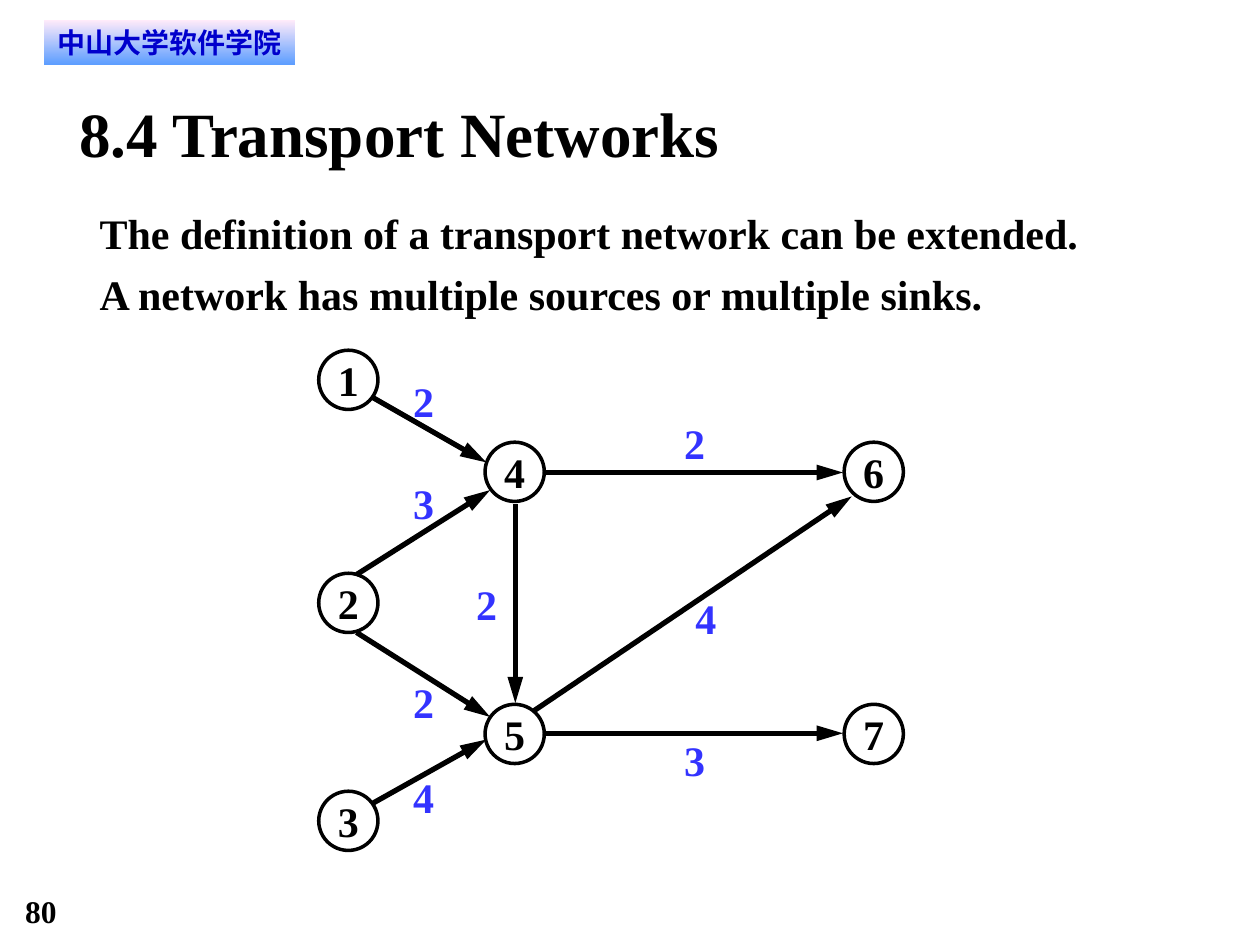
"""Build a slide on transport networks with many sources and sinks."""
from typing import NamedTuple

from lxml import etree
from pptx import Presentation
from pptx.dml.color import RGBColor
from pptx.enum.shapes import MSO_CONNECTOR, MSO_SHAPE
from pptx.enum.text import MSO_ANCHOR, PP_ALIGN
from pptx.oxml.ns import qn
from pptx.util import Inches, Pt

LINE = MSO_CONNECTOR.STRAIGHT
RECT = MSO_SHAPE.RECTANGLE
OVAL = MSO_SHAPE.OVAL
MIDDLE = MSO_ANCHOR.MIDDLE
CENTER = PP_ALIGN.CENTER

FONT = "Times New Roman"
COLORS = {
    "black": "000000",
    "label": "3333FF",
    "school": "0000CC",
    "pink": "FFEBFA",
    "blue": "5E9EFF",
}
SIZE = 0.47


class Node(NamedTuple):
    name: str
    x: float
    y: float


class Edge(NamedTuple):
    start: tuple[float, float]
    end: tuple[float, float]
    cost: str
    spot: tuple[float, float]


LEFT, MID, RIGHT = 2.53, 3.85, 6.7
HIGH, LOW = 3.51, 5.59

NODES = [
    Node("1", LEFT, 2.78),
    Node("2", LEFT, 4.55),
    Node("3", LEFT, 6.28),
    Node("4", MID, HIGH),
    Node("5", MID, LOW),
    Node("6", RIGHT, HIGH),
    Node("7", RIGHT, LOW),
]
EDGES = [
    Edge((2.95, 3.15), (3.86, 3.67), "2", (3.28, 2.98)),
    Edge((2.83, 4.56), (3.89, 3.89), "3", (3.28, 3.79)),
    Edge((2.83, 5.02), (3.89, 5.69), "2", (3.28, 5.37)),
    Edge((2.95, 6.38), (3.86, 5.87), "4", (3.28, 6.12)),
    Edge((4.33, 3.75), (6.69, 3.75), "2", (5.43, 3.31)),
    Edge((4.09, 4), (4.09, 5.58), "2", (3.78, 4.59)),
    Edge((4.24, 5.64), (6.76, 3.94), "4", (5.52, 4.7)),
    Edge((4.33, 5.82), (6.69, 5.82), "3", (5.43, 5.83)),
]


def color(key: str) -> RGBColor:
    """Look up a colour by name."""
    return RGBColor.from_string(COLORS[key])


def write(shape, lines: list[str], size: float, ink: str = "black",
          font: str = FONT, pad: tuple[float, float] = (0, 0),
          wrap: bool = True, align=None, space: float | None = None) -> None:
    """Fill a shape with bold lines of text."""
    frame = shape.text_frame
    frame.word_wrap = wrap
    frame.margin_left = frame.margin_right = Inches(pad[0])
    frame.margin_top = frame.margin_bottom = Inches(pad[1])
    frame.text = "\n".join(lines)
    for para in frame.paragraphs:
        para.alignment = align
        para.line_spacing = space
        para.font.name = font
        para.font.size = Pt(size)
        para.font.bold = True
        para.font.color.rgb = color(ink)


def add_text(slide, x: float, y: float, w: float, h: float,
             lines: list[str], size: float, **style) -> None:
    """Add a text box."""
    box = slide.shapes.add_textbox(Inches(x), Inches(y), Inches(w), Inches(h))
    write(box, lines, size, **style)


def add_badge(slide) -> None:
    """Add the school name on a shaded bar."""
    bar = slide.shapes.add_shape(
        RECT, Inches(0.35), Inches(0.16), Inches(1.99), Inches(0.35))
    bar.shadow.inherit = False
    bar.line.fill.background()
    bar.fill.gradient()
    bar.fill.gradient_angle = 270
    for stop, key in zip(bar.fill.gradient_stops, ("pink", "blue")):
        stop.color.rgb = color(key)
    write(bar, ["中山大学软件学院"], 16, ink="school", font="DejaVu Sans",
          pad=(0.08, 0.04), align=CENTER)


def add_node(slide, node: Node) -> None:
    """Add a numbered circle."""
    disc = slide.shapes.add_shape(
        OVAL, Inches(node.x), Inches(node.y), Inches(SIZE), Inches(SIZE))
    disc.shadow.inherit = False
    disc.fill.background()
    disc.line.color.rgb = color("black")
    disc.line.width = Pt(2)
    disc.text_frame.vertical_anchor = MIDDLE
    write(disc, [node.name], 24, wrap=False, align=CENTER)


def add_edge(slide, edge: Edge) -> None:
    """Add an arrow and its label."""
    ends = [Inches(v) for v in (*edge.start, *edge.end)]
    arrow = slide.shapes.add_connector(LINE, *ends)
    arrow.line.color.rgb = color("black")
    arrow.line.width = Pt(3)
    etree.SubElement(arrow.line._get_or_add_ln(), qn("a:tailEnd"),
                     type="triangle", w="med", len="lg")
    etree.SubElement(arrow._element.spPr, qn("a:effectLst"))
    add_text(slide, *edge.spot, 0.17, 0.4, [edge.cost], 24, ink="label")


def main() -> None:
    """Build and save the slide."""
    deck = Presentation()
    deck.slide_width = Inches(10)
    deck.slide_height = Inches(7.5)
    slide = deck.slides.add_slide(deck.slide_layouts[6])
    add_text(slide, 0.2, 7.08, 0.75, 0.3, ["80"], 18)
    add_badge(slide)
    add_text(slide, 0.63, 0.75, 8.75, 0.6, ["8.4 Transport Networks"], 36)
    add_text(slide, 0.79, 1.57, 8.71, 0.96, [
        "The definition of a transport network can be extended.",
        "A network has multiple sources or multiple sinks.",
    ], 24, space=1.2)
    for edge in EDGES:
        add_edge(slide, edge)
    for node in NODES:
        add_node(slide, node)
    deck.save("out.pptx")


if __name__ == "__main__":
    main()
